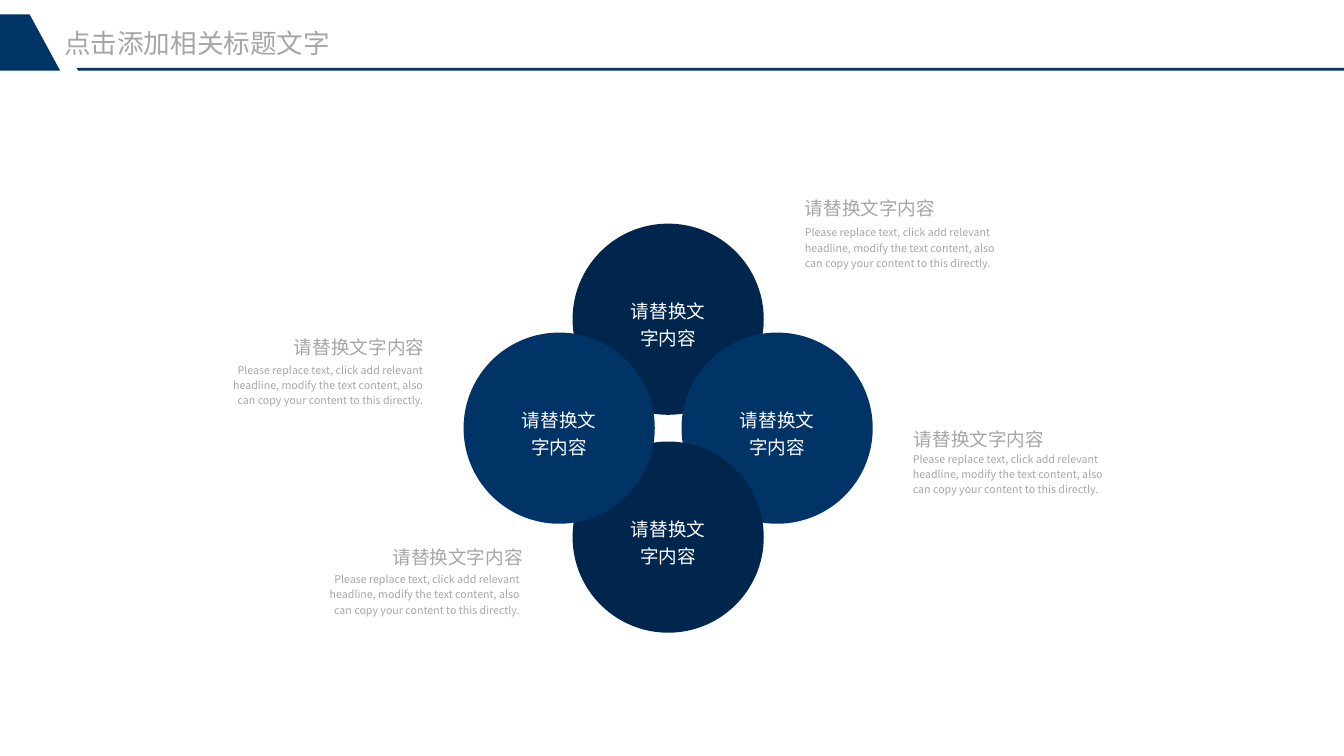
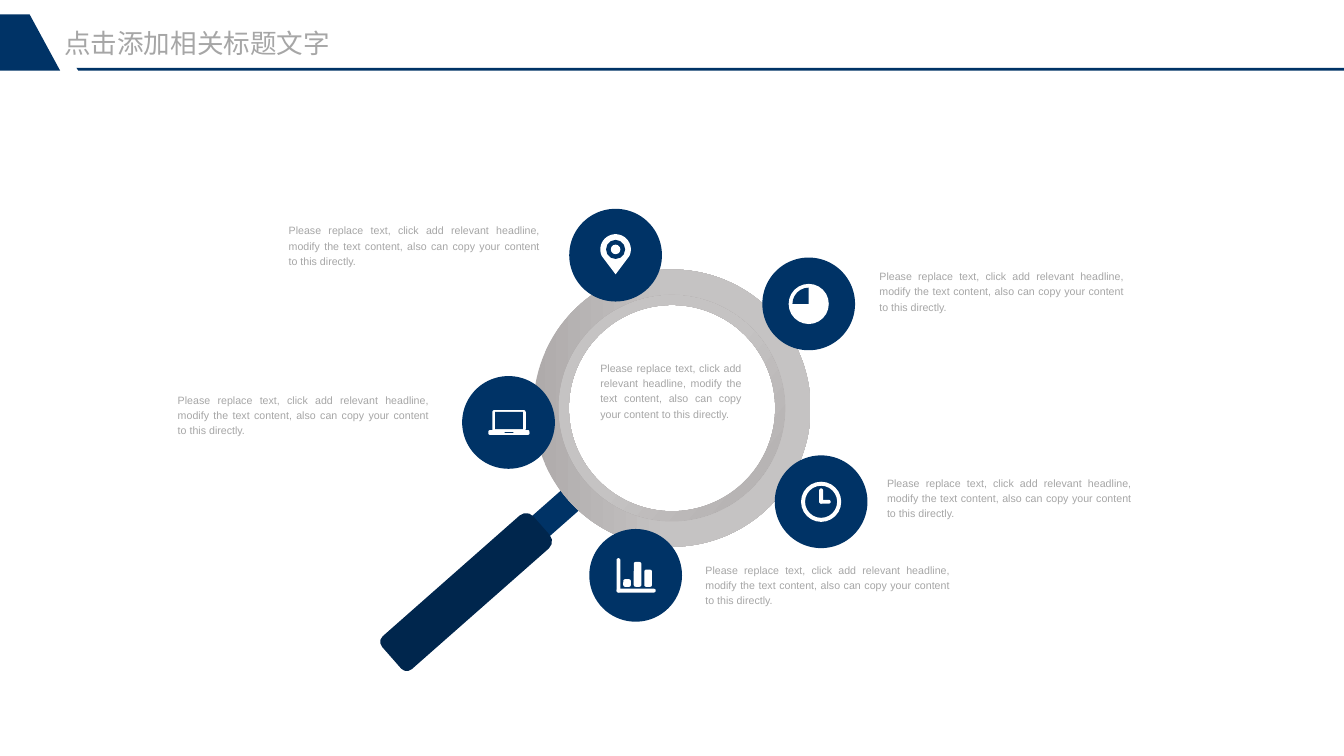
from dataclasses import dataclass
from math import cos, radians, sin

from lxml import etree
from pptx import Presentation
from pptx.dml.color import RGBColor
from pptx.enum.shapes import MSO_SHAPE
from pptx.enum.text import MSO_ANCHOR, MSO_AUTO_SIZE, PP_ALIGN
from pptx.oxml.ns import qn
from pptx.shapes.autoshape import Shape
from pptx.slide import Slide
from pptx.text.text import TextFrame
from pptx.util import Inches, Pt

# Shared style
BLUE = RGBColor(0x00, 0x33, 0x66)
NAVY = RGBColor(0x00, 0x26, 0x4D)
GREY = RGBColor(0xA6, 0xA6, 0xA6)
RING_DARK = RGBColor(0xAF, 0xAB, 0xAB)
RING_LIGHT = RGBColor(0xC5, 0xC3, 0xC3)
WHITE = RGBColor(0xFF, 0xFF, 0xFF)
LABEL_WHITE = RGBColor(0xFC, 0xFC, 0xFC)
LATIN_FONT = "Arial"
CJK_FONT = "Noto Sans CJK SC"

OVAL = MSO_SHAPE.OVAL
DONUT = MSO_SHAPE.DONUT
PIE = MSO_SHAPE.PIE
RECTANGLE = MSO_SHAPE.RECTANGLE
ROUNDED = MSO_SHAPE.ROUNDED_RECTANGLE
ROUNDED_TOP = MSO_SHAPE.ROUND_2_SAME_RECTANGLE
LEFT, RIGHT = PP_ALIGN.LEFT, PP_ALIGN.RIGHT
CENTER, JUSTIFY = PP_ALIGN.CENTER, PP_ALIGN.JUSTIFY
TOP, MIDDLE = MSO_ANCHOR.TOP, MSO_ANCHOR.MIDDLE
NO_AUTOFIT = MSO_AUTO_SIZE.NONE

SLIDE_WIDTH, SLIDE_HEIGHT = 14.06, 7.91
TITLE_ONLY = 5
TITLE = "点击添加相关标题文字"
HEADING = "请替换文字内容"
BODY = ("Please replace text, click add relevant headline, modify the text "
        "content, also can copy your content to this directly.")

Point = tuple[float, float]


@dataclass(frozen=True)
class TextStyle:
    font: str
    size: int
    color: RGBColor
    align: PP_ALIGN = LEFT
    spacing: float = 1.2


@dataclass(frozen=True)
class Circle:
    column: int
    row: int
    color: RGBColor


@dataclass(frozen=True)
class Caption:
    heading_at: Point
    heading_width: float
    body_at: Point
    body_width: float
    align: PP_ALIGN


@dataclass(frozen=True)
class Mark:
    """One part of an icon; x and y are measured from the badge centre."""
    preset: MSO_SHAPE
    x: float
    y: float
    width: float
    height: float
    color: RGBColor = WHITE
    adjustments: tuple[float, ...] = ()


@dataclass(frozen=True)
class Badge:
    center: Point
    text_at: Point
    text_width: float
    marks: tuple[Mark, ...]


# Drawing functions
def finish(shape: Shape, color: RGBColor) -> Shape:
    shape.shadow.inherit = False
    shape.fill.solid()
    shape.fill.fore_color.rgb = color
    shape.line.fill.background()
    return shape


def add_preset(slide: Slide, preset: MSO_SHAPE, x: float, y: float,
               width: float, height: float, color: RGBColor,
               adjustments: tuple[float, ...] = ()) -> Shape:
    shape = slide.shapes.add_shape(
        preset, Inches(x), Inches(y), Inches(width), Inches(height))
    for index, value in enumerate(adjustments):
        shape.adjustments[index] = value
    return finish(shape, color)


def add_centered(slide: Slide, preset: MSO_SHAPE, center: Point, width: float,
                 height: float, color: RGBColor,
                 adjustments: tuple[float, ...] = ()) -> Shape:
    return add_preset(slide, preset, center[0] - width / 2,
                      center[1] - height / 2, width, height, color, adjustments)


def add_outline(slide: Slide, points: list[Point], color: RGBColor) -> Shape:
    corners = [(Inches(x), Inches(y)) for x, y in points]
    builder = slide.shapes.build_freeform(*corners[0])
    builder.add_line_segments(corners[1:], close=True)
    return finish(builder.convert_to_shape(), color)


def write_text(frame: TextFrame, text: str, style: TextStyle,
               anchor: MSO_ANCHOR = TOP) -> None:
    frame.text = text
    frame.word_wrap = True
    frame.auto_size = NO_AUTOFIT
    frame.vertical_anchor = anchor
    frame.margin_left = frame.margin_right = 0
    frame.margin_top = frame.margin_bottom = 0
    paragraph = frame.paragraphs[0]
    paragraph.alignment = style.align
    paragraph.line_spacing = style.spacing
    font = paragraph.runs[0].font
    font.name = style.font
    font.size = Pt(style.size)
    font.color.rgb = style.color
    east_asian = etree.SubElement(font._element, qn("a:ea"))
    east_asian.set("typeface", CJK_FONT)


def add_text(slide: Slide, at: Point, width: float, height: float,
             text: str, style: TextStyle) -> None:
    box = slide.shapes.add_textbox(
        Inches(at[0]), Inches(at[1]), Inches(width), Inches(height))
    write_text(box.text_frame, text, style)


def add_titled_slide(presentation: Presentation) -> Slide:
    slide = presentation.slides.add_slide(
        presentation.slide_layouts[TITLE_ONLY])
    add_outline(slide, [(0.8, 0.71), (SLIDE_WIDTH, 0.71),
                        (SLIDE_WIDTH, 0.74), (0.82, 0.74)], BLUE)
    add_outline(slide, [(0, 0.15), (0.31, 0.15), (0.63, 0.74), (0, 0.74)], BLUE)
    title = slide.shapes.title
    title.left, title.top = Inches(0.67), Inches(0.28)
    title.width, title.height = Inches(3.35), Inches(0.34)
    write_text(title.text_frame, TITLE,
               TextStyle(LATIN_FONT, 20, GREY, spacing=1.0))
    return slide


# Slide 1: four overlapping circles
CLUSTER_CENTER = (6.99, 4.48)
CIRCLE_STEP = 1.14
CIRCLE_SIZE = 2
LABEL_STYLE = TextStyle(CJK_FONT, 14, LABEL_WHITE, CENTER)
CIRCLES = (
    Circle(0, -1, NAVY),
    Circle(1, 0, BLUE),
    Circle(0, 1, NAVY),
    Circle(-1, 0, BLUE),
)
CAPTIONS = (
    Caption((8.42, 2.01), 2.51, (8.42, 2.34), 2.05, LEFT),
    Caption((9.56, 4.43), 1.78, (9.55, 4.71), 2.05, LEFT),
    Caption((2.66, 3.47), 1.78, (2.37, 3.78), 2.06, RIGHT),
    Caption((3.69, 5.67), 1.78, (3.43, 5.97), 2.01, RIGHT),
)


def add_circle(slide: Slide, circle: Circle) -> None:
    center = (CLUSTER_CENTER[0] + circle.column * CIRCLE_STEP,
              CLUSTER_CENTER[1] + circle.row * CIRCLE_STEP)
    shape = add_centered(slide, OVAL, center, CIRCLE_SIZE, CIRCLE_SIZE,
                         circle.color)
    frame = shape.text_frame
    write_text(frame, HEADING, LABEL_STYLE, MIDDLE)
    frame.margin_left = frame.margin_right = Inches(0.23)
    frame.margin_top = Inches(0.06)


def build_circles_slide(presentation: Presentation) -> None:
    slide = add_titled_slide(presentation)
    for circle in CIRCLES:
        add_circle(slide, circle)
    for caption in CAPTIONS:
        add_text(slide, caption.heading_at, caption.heading_width, 0.28,
                 HEADING, TextStyle(CJK_FONT, 14, GREY, caption.align))
        add_text(slide, caption.body_at, caption.body_width, 0.48,
                 BODY, TextStyle(CJK_FONT, 8, GREY, caption.align))


# Slide 2: magnifier with icon badges
LENS_CENTER = (7.03, 4.27)
HANDLE_ANGLE = 48.6
BADGE_SIZE = 0.97
PIN_CENTER = (6.44, 2.61)
PIN_RADIUS = 0.16
NOTE_STYLE = TextStyle(LATIN_FONT, 8, GREY, JUSTIFY)

PIN_MARKS = (
    Mark(OVAL, -0.1, -0.16, 0.2, 0.2, BLUE),
    Mark(OVAL, -0.05, -0.11, 0.1, 0.1),
)
PIE_MARKS = (
    Mark(OVAL, -0.21, -0.21, 0.42, 0.42),
    Mark(PIE, -0.17, -0.17, 0.34, 0.34, BLUE, (108, 162)),
)
CLOCK_MARKS = (
    Mark(DONUT, -0.21, -0.21, 0.42, 0.42, WHITE, (0.1,)),
    Mark(ROUNDED, -0.02, -0.14, 0.04, 0.16, WHITE, (0.5,)),
    Mark(ROUNDED, -0.02, -0.02, 0.12, 0.04, WHITE, (0.5,)),
)
LAPTOP_MARKS = (
    Mark(ROUNDED, -0.17, -0.13, 0.35, 0.22, WHITE, (0.1,)),
    Mark(RECTANGLE, -0.14, -0.11, 0.29, 0.18, BLUE),
    Mark(ROUNDED, -0.21, 0.08, 0.43, 0.05, WHITE, (0.3,)),
    Mark(RECTANGLE, -0.04, 0.1, 0.09, 0.01, BLUE),
)
CHART_MARKS = (
    Mark(ROUNDED, -0.2, -0.18, 0.04, 0.36, WHITE, (0.5,)),
    Mark(ROUNDED, -0.2, 0.14, 0.41, 0.04, WHITE, (0.5,)),
) + tuple(
    Mark(ROUNDED, -0.13 + index * 0.11, 0.12 - height, 0.08, height,
         WHITE, (0.25,))
    for index, height in enumerate((0.08, 0.26, 0.18))
)
BADGES = (
    Badge((6.65, 6.02), (7.38, 5.87), 2.56, CHART_MARKS),
    Badge((8.46, 3.18), (9.2, 2.8), 2.56, PIE_MARKS),
    Badge((8.59, 5.25), (9.28, 4.96), 2.56, CLOCK_MARKS),
    Badge((6.44, 2.67), (3.02, 2.32), 2.63, PIN_MARKS),
    Badge((5.32, 4.42), (1.86, 4.09), 2.63, LAPTOP_MARKS),
)


def add_ring(slide: Slide, size: float, thickness: float, angle: int) -> None:
    ring = add_centered(slide, DONUT, LENS_CENTER, size, size, RING_LIGHT,
                        (thickness,))
    ring.fill.gradient()
    ring.fill.gradient_angle = angle
    stops = zip(ring.fill.gradient_stops, (0, 0.5), (RING_DARK, RING_LIGHT))
    for stop, position, color in stops:
        stop.position = position
        stop.color.rgb = color


def add_magnifier(slide: Slide) -> None:
    neck = add_centered(slide, ROUNDED, (5.13, 5.97), 0.28, 2.54, BLUE, (0.5,))
    neck.rotation = HANDLE_ANGLE
    handle = add_centered(slide, ROUNDED_TOP, (4.88, 6.19), 0.46, 2.09, NAVY,
                          (0.17, 0.22))
    handle.rotation = HANDLE_ANGLE + 180
    add_ring(slide, 2.51, 0.07, 140)
    add_ring(slide, 2.9, 0.09, 0)


def add_pin(slide: Slide) -> None:
    x, y = PIN_CENTER
    arc = [(x + PIN_RADIUS * cos(radians(angle)),
            y + PIN_RADIUS * sin(radians(angle)))
           for angle in range(155, 386, 10)]
    add_outline(slide, arc + [(x, y + 0.26)], WHITE)


def add_badge(slide: Slide, badge: Badge) -> None:
    add_centered(slide, OVAL, badge.center, BADGE_SIZE, BADGE_SIZE, BLUE)
    if badge.marks is PIN_MARKS:
        add_pin(slide)
    for mark in badge.marks:
        add_preset(slide, mark.preset, badge.center[0] + mark.x,
                   badge.center[1] + mark.y, mark.width, mark.height,
                   mark.color, mark.adjustments)
    add_text(slide, badge.text_at, badge.text_width, 0.47, BODY, NOTE_STYLE)


def build_magnifier_slide(presentation: Presentation) -> None:
    slide = add_titled_slide(presentation)
    add_magnifier(slide)
    for badge in BADGES:
        add_badge(slide, badge)
    add_text(slide, (6.28, 3.76), 1.48, 0.63, BODY, NOTE_STYLE)


def main() -> None:
    presentation = Presentation()
    presentation.slide_width = Inches(SLIDE_WIDTH)
    presentation.slide_height = Inches(SLIDE_HEIGHT)
    build_circles_slide(presentation)
    build_magnifier_slide(presentation)
    presentation.save("out.pptx")


main()
